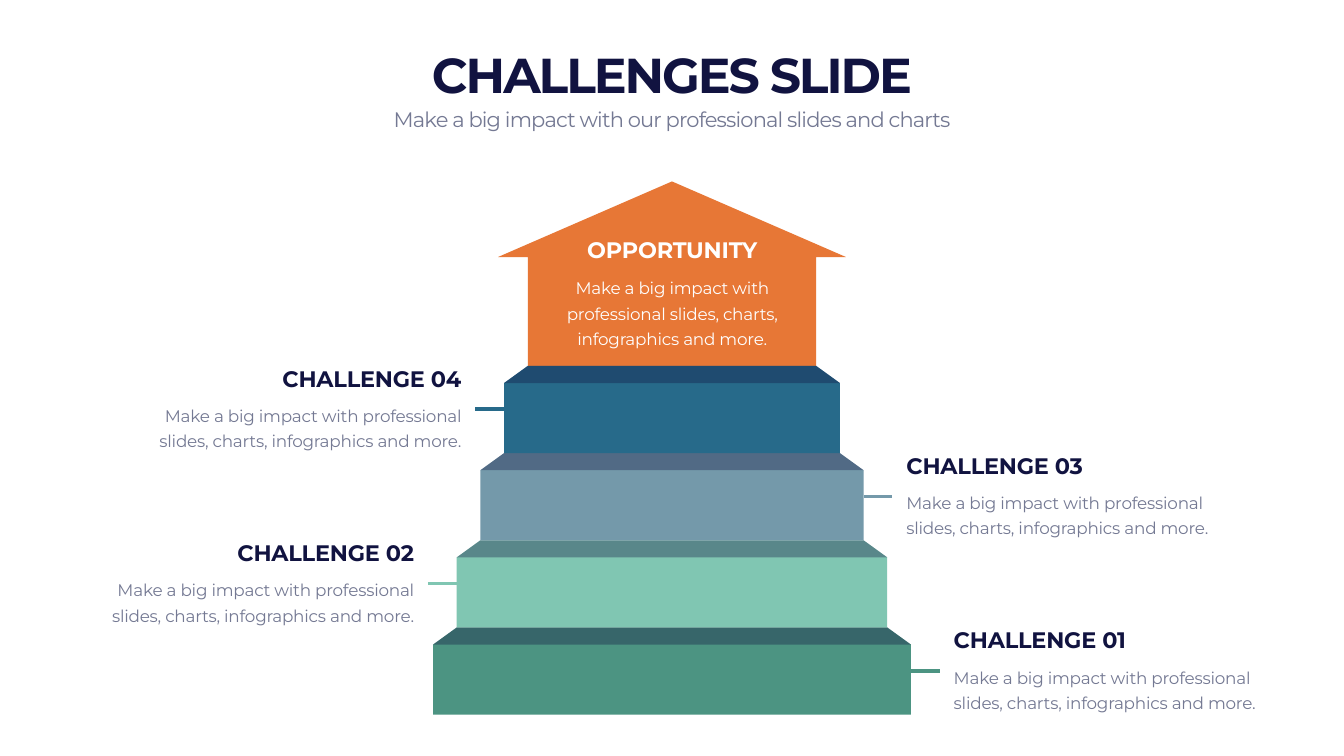
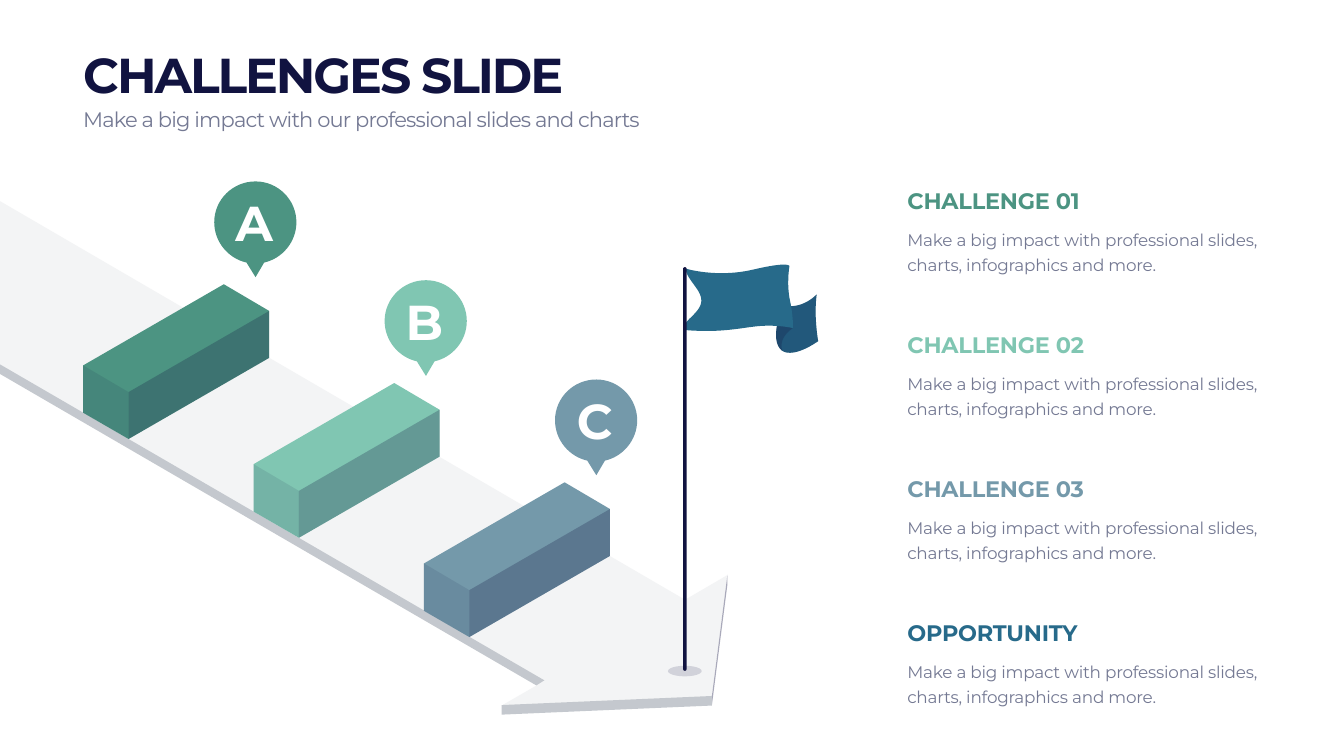
from lxml.etree import SubElement
from pptx import Presentation
from pptx.dml.color import RGBColor
from pptx.enum.shapes import MSO_CONNECTOR, MSO_SHAPE
from pptx.enum.text import MSO_ANCHOR, MSO_AUTO_SIZE, PP_ALIGN
from pptx.oxml.ns import qn
from pptx.util import Pt

PX = 9144  # 100 px to the inch
WIDE, HIGH = 2666, 1500
FONT = "Montserrat"
HEX = {
    "navy": "111340", "gray": "747993", "white": "FFFFFF", "edge": "C4C8CE",
    "green": "4C9482", "mint": "80C6B2", "steel": "7499AA", "blue": "276A8A",
    "orange": "E77736",
}
LEFT, MID, RIGHT = PP_ALIGN.LEFT, PP_ALIGN.CENTER, PP_ALIGN.RIGHT

# Content
TITLE = "CHALLENGES SLIDE"
SUB = "Make a big impact with our professional slides and charts"
BODY = "Make a big impact with professional slides, charts, infographics and more."
GOAL = "OPPORTUNITY"
STEPS = [  # from the bottom up
    ("CHALLENGE 01", "green", 1),
    ("CHALLENGE 02", "mint", -1),
    ("CHALLENGE 03", "steel", 1),
    ("CHALLENGE 04", "blue", -1),
]
BLOCKS = [("A", "green"), ("B", "mint"), ("C", "steel")]
NOTES = [("CHALLENGE 01", "green"), ("CHALLENGE 02", "mint"),
         ("CHALLENGE 03", "steel"), (GOAL, "blue")]

# Outlines: two numbers are a corner, six are a curve
ROAD = [  # outline, colour, opacity
    ([(0, 398), (1359, 1189), (1443, 1141), (1443, 1159), (1412, 1400),
      (995, 1418), (995, 1399), (1064, 1360), (0, 742)], "white", 100),
    ([(1412, 1382), (1412, 1400), (1443, 1159), (1443, 1140)], "navy", 36),
    ([(995, 1399), (995, 1418), (1412, 1400), (1412, 1381)], "edge", 100),
    ([(0, 399), (1359, 1190), (1443, 1141), (1412, 1382), (995, 1400),
      (1080, 1351), (0, 724)], "edge", 20),
    ([(0, 723), (0, 742), (1064, 1360), (1080, 1350)], "edge", 100),
]
BLOCK = [(534, 617), (444, 564), (165, 725), (165, 819), (255, 871), (534, 710)]
FRONT = [(165, 725), (165, 819), (255, 871), (255, 778)]
SIDE = [(255, 778), (255, 871), (534, 710), (534, 617)]
PIN = [(588, 441), (588, 396, 551, 360, 507, 360), (462, 360, 425, 396, 425, 441),
       (425, 480, 453, 513, 489, 521), (507, 550), (524, 521),
       (560, 513, 588, 480, 588, 441)]
TAIL = [(1552, 696), (1552, 696, 1570, 713, 1623, 677),
        (1623, 677, 1614, 629, 1620, 584), (1620, 584, 1591, 617, 1549, 605),
        (1549, 605, 1537, 685, 1552, 696)]
FOLD = [(1573, 651), (1573, 651, 1543, 669, 1552, 696),
        (1552, 696, 1534, 687, 1541, 647), (1541, 647, 1557, 641, 1573, 651)]
FLAG = [(1360, 533), (1360, 533, 1422, 552, 1494, 535),
        (1566, 518, 1566, 528, 1566, 528), (1566, 528, 1560, 563, 1567, 596),
        (1574, 629, 1573, 651, 1573, 651), (1573, 651, 1544, 644, 1506, 647),
        (1471, 650, 1433, 661, 1360, 655), (1360, 655, 1358, 646, 1361, 640),
        (1370, 628, 1394, 613, 1391, 593), (1389, 573, 1362, 554, 1360, 533)]


def tint(hue):
    return RGBColor.from_string(HEX[hue])


def paint(shape, hue, alpha=100):
    shape.shadow.inherit = False
    shape.line.fill.background()
    shape.fill.solid()
    shape.fill.fore_color.rgb = tint(hue)
    if alpha < 100:
        clr = shape.element.spPr.find(".//" + qn("a:srgbClr"))
        SubElement(clr, qn("a:alpha")).set("val", str(alpha * 1000))


def trace(path, cuts=16):
    """Turn corners and curves into a list of points."""
    pts = []
    for part in path:
        if len(part) == 2:
            pts.append(part)
            continue
        ends = [pts[-1], part[:2], part[2:4], part[4:]]
        for n in range(1, cuts + 1):
            t = n / cuts
            mix = ((1 - t) ** 3, 3 * t * (1 - t) ** 2, 3 * t * t * (1 - t), t ** 3)
            pts.append(tuple(sum(m * e[k] for m, e in zip(mix, ends)) for k in (0, 1)))
    return pts


def draw(slide, path, hue, alpha=100, dx=0, dy=0):
    pts = [((x + dx) * PX, (y + dy) * PX) for x, y in trace(path)]
    pen = slide.shapes.build_freeform(*pts[0], scale=1.0)
    pen.add_line_segments(pts[1:], close=True)
    paint(pen.convert_to_shape(), hue, alpha)


def write(slide, text, box, size=24, hue="gray", bold=False, align=LEFT,
          anchor=MSO_ANCHOR.TOP, space=-30, line=None, title=False):
    spot = [n * PX for n in box]
    if title:
        shape = slide.shapes.title
        shape.left, shape.top, shape.width, shape.height = spot
    else:
        shape = slide.shapes.add_textbox(*spot)
    frame = shape.text_frame
    frame.word_wrap = True
    frame.auto_size = MSO_AUTO_SIZE.SHAPE_TO_FIT_TEXT
    frame.vertical_anchor = anchor
    para = frame.paragraphs[0]
    para.alignment = align
    if line:
        para.line_spacing = Pt(line)
    run = para.add_run()
    run.text = text
    run.font.name, run.font.size, run.font.bold = FONT, Pt(size), bold
    run.font.color.rgb = tint(hue)
    run.font._element.set("spc", str(space))


def label(slide, head, x, y, wide, gap=75, high=107, hue="navy", ink="gray", align=LEFT):
    write(slide, head, (x, y, wide, 64), size=32, hue=hue, bold=True,
          align=align, anchor=MSO_ANCHOR.BOTTOM)
    write(slide, BODY, (x, y + gap, wide, high), hue=ink, align=align, line=36)


def start(deck, x, align):
    """Add a slide with its title and subtitle."""
    slide = deck.slides.add_slide(deck.slide_layouts[5])
    wide = WIDE - 2 * x
    write(slide, TITLE, (x, 82, wide, 128), size=70, hue="navy", bold=True,
          align=align, anchor=MSO_ANCHOR.BOTTOM, space=-290, title=True)
    write(slide, SUB, (x, 206, wide, 61), size=30, align=align, space=-120)
    return slide


def stairs(deck):
    slide = start(deck, 166, MID)
    mid, rise, inset, lid = WIDE // 2, 173, 47, 34

    # Arrow on top
    roof = [(345, 510), (286, 510), (286, 726)]
    draw(slide, [(mid, 360)] + [(mid + x, y) for x, y in roof]
         + [(mid - x, y) for x, y in reversed(roof)], "orange")

    # Steps with their ticks and labels
    for i, (head, hue, way) in enumerate(STEPS):
        half, top = 474 - inset * i, 1245 - rise * i
        neck, low, base = half - inset, top + lid, top + rise
        draw(slide, [(mid + neck, top), (mid - neck, top), (mid - half, low),
                     (mid - half, base), (mid + half, base), (mid + half, low)], hue)
        draw(slide, [(mid + half, low), (mid - half, low),
                     (mid - neck, top), (mid + neck, top)], "navy", 35)
        edge, y = mid + way * half, top + 86
        ends = sorted((edge, edge + way * 57))
        tick = slide.shapes.add_connector(
            MSO_CONNECTOR.STRAIGHT, ends[0] * PX, y * PX, ends[1] * PX, y * PX)
        tick.line.color.rgb, tick.line.width = tint(hue), Pt(5)
        SubElement(tick._element.spPr, qn("a:effectLst"))
        x = edge + 75 if way > 0 else edge - 75 - 685
        label(slide, head, x, top - 8, 685, gap=72, align=LEFT if way > 0 else RIGHT)
    label(slide, GOAL, 1085, 462, 497, high=157, hue="white", ink="white", align=MID)


def road(deck):
    slide = start(deck, 155, LEFT)
    for path, hue, alpha in ROAD:
        draw(slide, path, hue, alpha)

    # Blocks and pins, front one last
    for i, (mark, hue) in enumerate(BLOCKS):
        dx, dy = 338 * i, 393 * i // 2
        for path, ink, alpha in ((BLOCK, hue, 100), (FRONT, "navy", 10),
                                 (SIDE, "navy", 25), (PIN, hue, 100)):
            draw(slide, path, ink, alpha, dx, dy)
        write(slide, mark, (435 + dx, 377 + dy, 138, 128), size=70, hue="white",
              bold=True, align=MID, anchor=MSO_ANCHOR.MIDDLE, space=-290)

    # Flag and its pole
    spot = slide.shapes.add_shape(MSO_SHAPE.OVAL, 1325 * PX, 1321 * PX, 67 * PX, 21 * PX)
    paint(spot, "navy", 15)
    for path, shade in ((TAIL, 20), (FOLD, 40)):
        draw(slide, path, "blue")
        draw(slide, path, "navy", shade)
    draw(slide, FLAG, "blue")
    pole = slide.shapes.add_shape(
        MSO_SHAPE.ROUNDED_RECTANGLE, 1355 * PX, 530 * PX, 7 * PX, 801 * PX)
    pole.adjustments[0] = 0.5
    paint(pole, "navy")

    # Notes on the right
    for i, (head, hue) in enumerate(NOTES):
        label(slide, head, 1790, 365 + 286 * i, 772, hue=hue)


def main():
    deck = Presentation()
    deck.slide_width, deck.slide_height = WIDE * PX, HIGH * PX
    stairs(deck)
    road(deck)
    deck.save("out.pptx")


if __name__ == "__main__":
    main()
